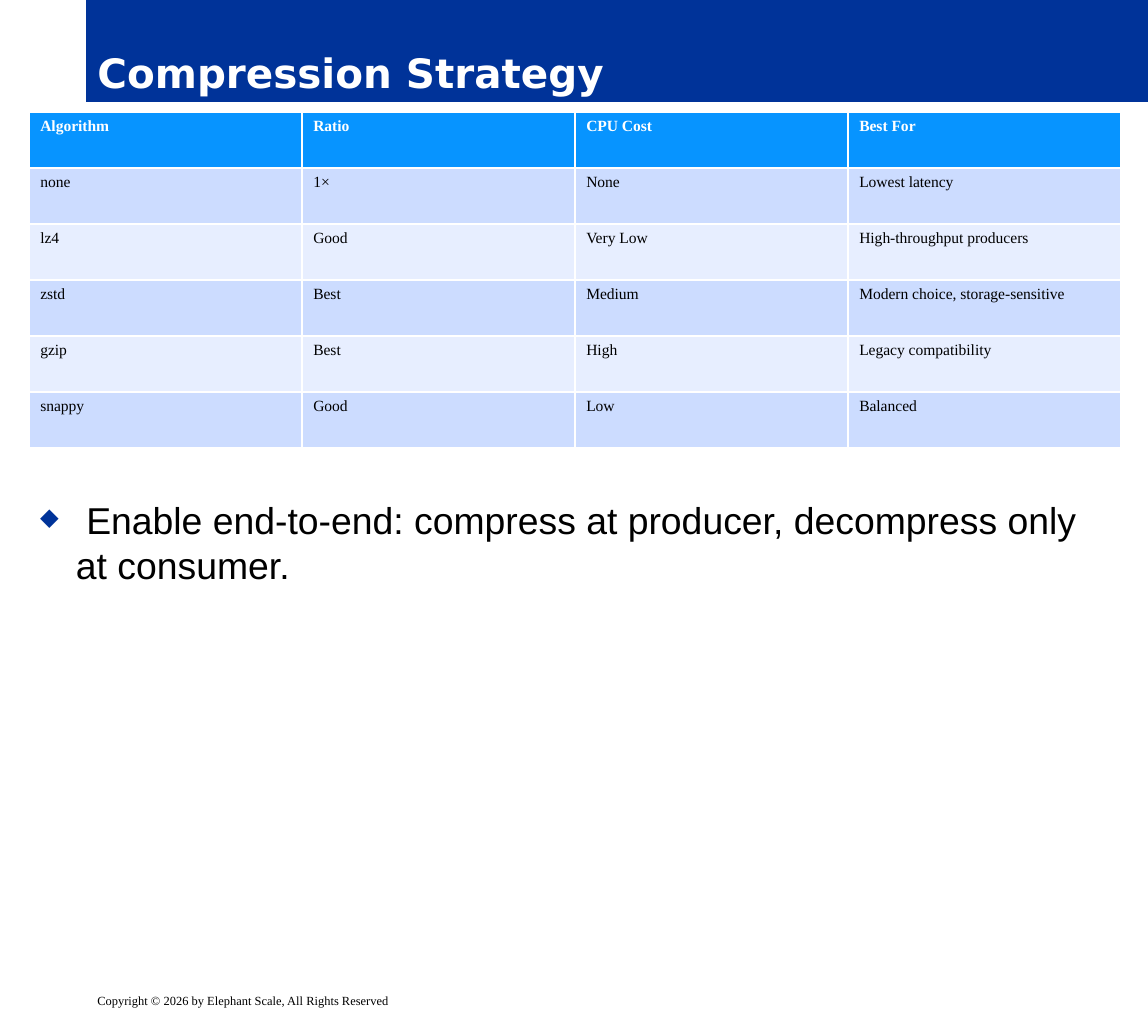
"""Build the Compression Strategy slide."""
from lxml.etree import SubElement
from pptx import Presentation
from pptx.dml.color import RGBColor
from pptx.enum.text import MSO_ANCHOR, MSO_AUTO_SIZE, PP_ALIGN
from pptx.oxml.ns import qn
from pptx.util import Inches, Pt


def rgb(value):
    return RGBColor.from_string(value)


def write(tf, text, color, **fmt):
    p = tf.paragraphs[0]
    p.alignment = PP_ALIGN.LEFT
    r = p.add_run()
    r.text = text
    r.font.color.rgb = rgb(color)
    for name, value in fmt.items():
        setattr(r.font, name, value)
    return p


prs = Presentation()
prs.slide_width, prs.slide_height = Inches(10.25), Inches(9.07)
W, H = prs.slide_width, prs.slide_height
s = prs.slides.add_slide(prs.slide_layouts[5])
margin, band_left = Inches(0.26), Inches(0.77)

title = s.shapes.title
title.left, title.top = band_left, 0
title.width, title.height = W - band_left, Inches(0.91)
title.fill.solid()
title.fill.fore_color.rgb = rgb("003399")
tf = title.text_frame
for name, value in {"vertical_anchor": MSO_ANCHOR.BOTTOM, "word_wrap": True,
                    "auto_size": MSO_AUTO_SIZE.NONE}.items():
    setattr(tf, name, value)
write(tf, "Compression Strategy", "FFFFFF", size=Pt(26), name="DejaVu Sans", bold=True)

body = s.shapes.add_textbox(margin, Inches(4.39), Inches(9.74), Inches(4.17))
body.text_frame.word_wrap = True
p = write(body.text_frame,
          " Enable end-to-end: compress at producer, decompress only at consumer.",
          "000000", size=Pt(24), name="Arial")
pPr = p._p.get_or_add_pPr()
pPr.set("marL", str(Inches(0.32)))
pPr.set("indent", str(-Inches(0.32)))
SubElement(SubElement(pPr, qn("a:buClr")), qn("a:srgbClr"), val="003399")
SubElement(pPr, qn("a:buSzPct"), val="65000")
SubElement(pPr, qn("a:buChar"), char="◆")

footer = s.shapes.add_textbox(band_left, Inches(8.82), W - band_left, H - Inches(8.82))
footer.text_frame.word_wrap = True
write(footer.text_frame, "Copyright © 2026 by Elephant Scale, All Rights Reserved",
      "000000", size=Pt(8), name="Times New Roman")

rows = [
    ("Algorithm", "Ratio", "CPU Cost", "Best For"),
    ("none", "1×", "None", "Lowest latency"),
    ("lz4", "Good", "Very Low", "High-throughput producers"),
    ("zstd", "Best", "Medium", "Modern choice, storage-sensitive"),
    ("gzip", "Best", "High", "Legacy compatibility"),
    ("snappy", "Good", "Low", "Balanced"),
]
table = s.shapes.add_table(len(rows), len(rows[0]), margin, Inches(1),
                           Inches(9.75), Inches(0.5) * len(rows)).table
for i, row in enumerate(rows):
    header = i == 0
    fill = "0794FF" if header else ("E7EEFF", "CCDCFF")[i % 2]
    for j, text in enumerate(row):
        cell = table.cell(i, j)
        cell.fill.solid()
        cell.fill.fore_color.rgb = rgb(fill)
        write(cell.text_frame, text, "FFFFFF" if header else "000000",
              size=Pt(10), name="Times New Roman", bold=header)

prs.save("out.pptx")
